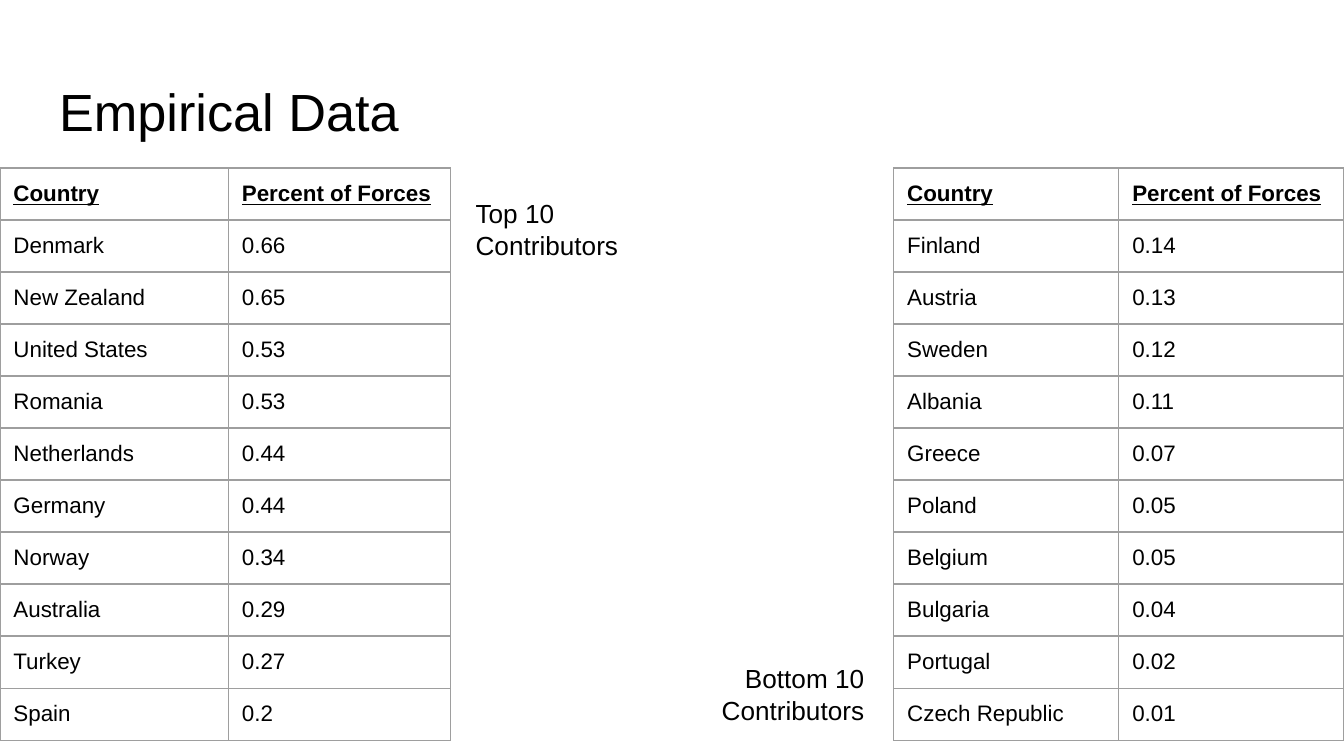
from lxml.etree import SubElement
from pptx import Presentation
from pptx.dml.color import RGBColor as RGB
from pptx.enum.text import MSO_ANCHOR as ANCHOR, MSO_AUTO_SIZE as AUTO, PP_ALIGN as ALIGN
from pptx.oxml.ns import qn
from pptx.util import Inches, Pt

COLORS = {"text": "000000", "border": "9E9E9E", "background": "FFFFFF"}
FONT = "Arial"
HEADER = ("Country", "Percent of Forces")
TOP_TEN = [
    ("Denmark", "0.66"), ("New Zealand", "0.65"), ("United States", "0.53"),
    ("Romania", "0.53"), ("Netherlands", "0.44"), ("Germany", "0.44"),
    ("Norway", "0.34"), ("Australia", "0.29"), ("Turkey", "0.27"), ("Spain", "0.2"),
]
BOTTOM_TEN = [
    ("Finland", "0.14"), ("Austria", "0.13"), ("Sweden", "0.12"),
    ("Albania", "0.11"), ("Greece", "0.07"), ("Poland", "0.05"),
    ("Belgium", "0.05"), ("Bulgaria", "0.04"), ("Portugal", "0.02"),
    ("Czech Republic", "0.01"),
]


def write(tf, text, size=12, bold=False, underline=False, align=ALIGN.LEFT):
    p = tf.paragraphs[0]
    p.alignment = align
    r = p.add_run()
    r.text = text
    r.font.name = FONT
    r.font.size = Pt(size)
    r.font.bold = bold
    r.font.underline = underline
    r.font.color.rgb = RGB.from_string(COLORS["text"])


def set_margins(box):
    for side in ("left", "right", "top", "bottom"):
        setattr(box, f"margin_{side}", Inches(0.1))


class Deck:
    """Build slides of text and bordered tables in one style."""

    def __init__(self, width, height):
        self.prs = Presentation()
        self.prs.slide_width = Inches(width)
        self.prs.slide_height = Inches(height)
        self.s = self.prs.slides.add_slide(self.prs.slide_layouts[5])
        fill = self.s.background.fill
        fill.solid()
        fill.fore_color.rgb = RGB.from_string(COLORS["background"])

    def frame(self, sp, text, **style):
        tf = sp.text_frame
        tf.word_wrap = True
        tf.auto_size = AUTO.NONE
        tf.vertical_anchor = ANCHOR.TOP
        set_margins(tf)
        write(tf, text, **style)

    def title(self, text, x, y, w, h):
        sp = self.s.shapes.title
        sp.left, sp.top, sp.width, sp.height = map(Inches, (x, y, w, h))
        self.frame(sp, text, size=28)

    def label(self, text, x, y, align=ALIGN.LEFT):
        sp = self.s.shapes.add_textbox(*map(Inches, (x, y, 1.31, 0.63)))
        self.frame(sp, text, size=14, align=align)

    def border(self, cell):
        tc_pr = cell._tc.get_or_add_tcPr()
        for i, side in enumerate(("lnL", "lnR", "lnT", "lnB")):
            ln = tc_pr.makeelement(qn(f"a:{side}"), {"w": str(Pt(0.75))})
            fill = SubElement(ln, qn("a:solidFill"))
            SubElement(fill, qn("a:srgbClr"), val=COLORS["border"])
            tc_pr.insert(i, ln)

    def table(self, data, x, y, widths, row_height=0.38):
        rows = [HEADER, *data]
        sp = self.s.shapes.add_table(
            len(rows), len(widths), Inches(x), Inches(y),
            Inches(sum(widths)), Inches(row_height * len(rows)))
        table = sp.table
        table.first_row = table.horz_banding = False
        for column, width in zip(table.columns, widths):
            column.width = Inches(width)
        for i, row in enumerate(rows):
            table.rows[i].height = Inches(row_height)
            for j, text in enumerate(row):
                cell = table.cell(i, j)
                set_margins(cell)
                cell.fill.background()
                self.border(cell)
                write(cell.text_frame, text, bold=i == 0, underline=i == 0)


def main():
    deck = Deck(10, 10 * 9 / 16)
    deck.title("Empirical Data", 0.34, 0.49, 9.32, 0.63)
    deck.table(TOP_TEN, 0, 1.25, (1.7, 1.65))
    deck.table(BOTTOM_TEN, 6.65, 1.25, (3.35 / 2, 3.35 / 2))
    deck.label("Top 10 Contributors", 3.44, 1.37)
    deck.label("Bottom 10 Contributors", 5.22, 4.83, ALIGN.RIGHT)
    deck.prs.save("out.pptx")


if __name__ == "__main__":
    main()
